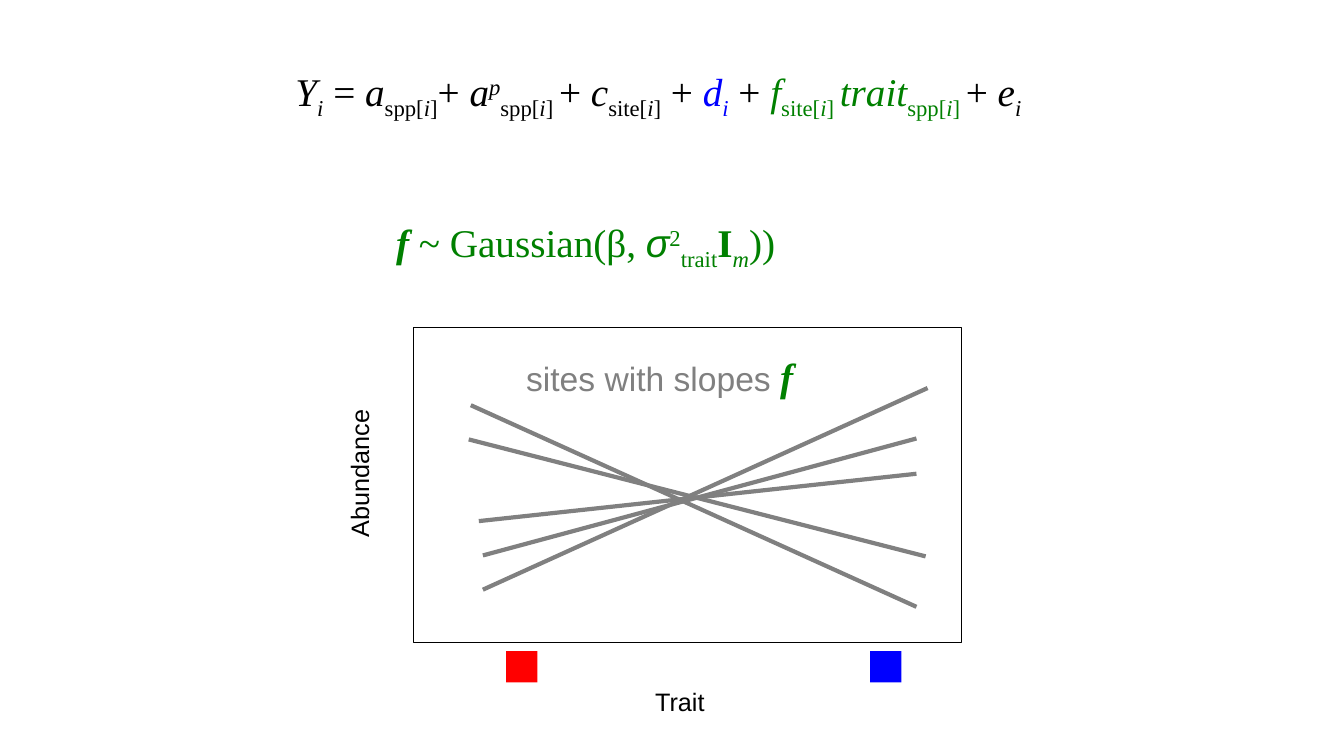
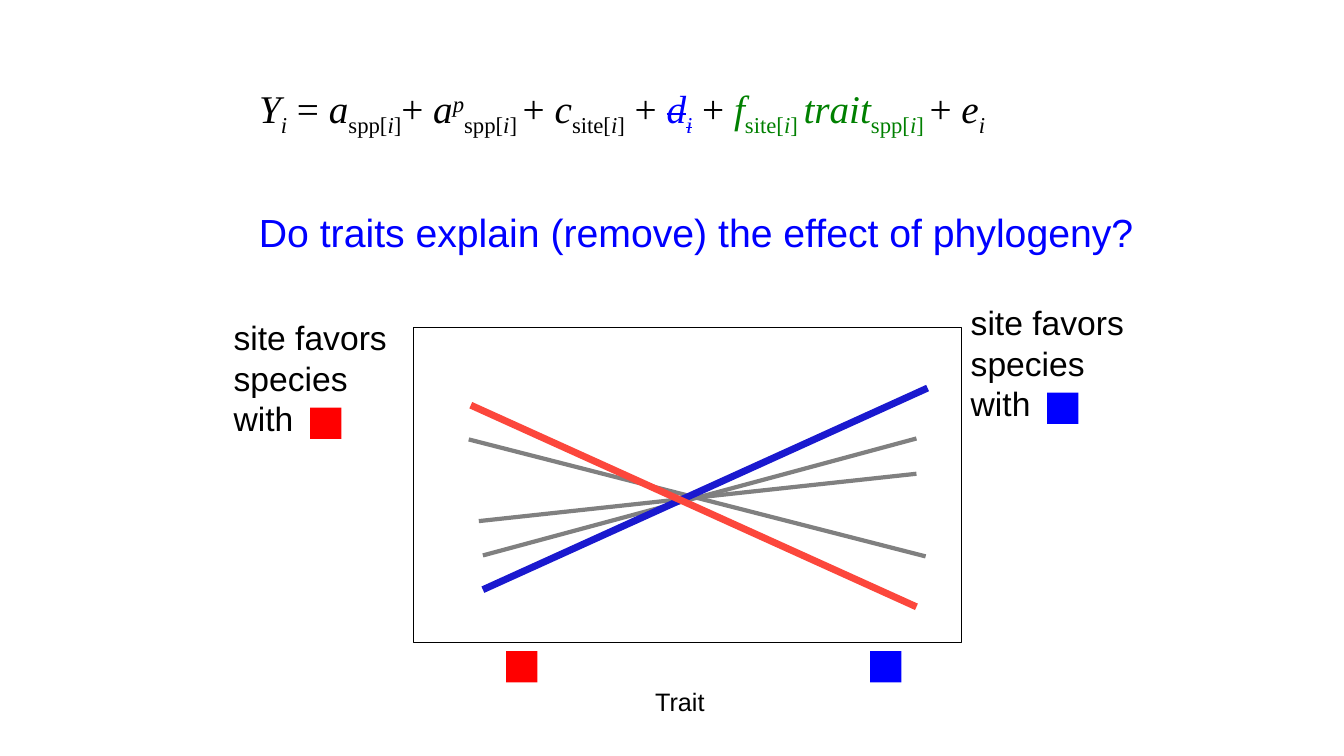
"""Build two slides on trait slopes in a phylogenetic mixed model."""
from lxml.etree import SubElement
from pptx import Presentation
from pptx.dml.color import RGBColor
from pptx.enum.shapes import MSO_CONNECTOR as Connector, MSO_SHAPE as Shape
from pptx.enum.text import MSO_ANCHOR as Anchor, MSO_AUTO_SIZE as AutoSize, PP_ALIGN as Align
from pptx.oxml.ns import qn
from pptx.util import Inches, Pt

SANS, SERIF = "Arial", "Times New Roman"
BLACK, GREY, GREEN = "000000", "808080", "008000"
RED, BLUE = "FF0000", "0000FF"
SUPER, SUB = 30, -25
SQUARE = (2.33, 4.13)
color = RGBColor.from_string

deck = Presentation()
deck.slide_width, deck.slide_height = Inches(13.33), Inches(7.5)


def place(across, down):
    """Turn percentages of the slide's width and height into lengths."""
    return int(deck.slide_width * across / 100), int(deck.slide_height * down / 100)


def write(para, text, font=SERIF, size=28, ink=BLACK, bold=False, italic=False, base=0, strike=False):
    """Add one formatted run to a paragraph."""
    span = para.add_run()
    span.text = text
    span.font.name, span.font.size = font, Pt(size)
    span.font.bold, span.font.italic = bold, italic
    span.font.color.rgb = color(ink)
    properties = span.font._element
    if base:
        properties.set("baseline", str(base * 1000))
    if strike:
        properties.set("strike", "sngStrike")


TERMS = [
    ("Y", "", "", "", BLACK, " = "),
    ("a", "", "spp[", "]", BLACK, "+ "),
    ("a", "p", "spp[", "] ", BLACK, "+ "),
    ("c", "", "site[", "]", BLACK, " + "),
    ("d", "", "", "", BLUE, " + "),
    ("f", "", "site[", "] ", GREEN, ""),
    ("trait", "", "spp[", "] ", GREEN, "+ "),
    ("e", "", "", "", BLACK, ""),
]
LINES = [
    (35.93, 73.47, 68.19, 58),
    (35.63, 68.93, 68.19, 62.67),
    (68.87, 73.6, 34.88, 58.13),
    (35.93, 78, 69.02, 51.33),
    (68.19, 80.27, 35.03, 53.6),
]
AXIS_SQUARES = [(37.66, 86.13, RED), (64.74, 86.13, BLUE)]
FAVORED = [(71.49, 39.33, BLUE), (16.65, 41.33, RED)]
FAVORED_SQUARES = [(left + 6.42, top + 12.6, ink) for left, top, ink in FAVORED]

LABEL = dict(font=SANS, size=18)
NOTE = dict(font=SANS, size=24)
SLOPE = dict(ink=GREEN, bold=True, italic=True)
TRAIT = (48.01, 90.13, 5.25, 5.33, 0, False, [("Trait", LABEL)])
DISTRIBUTION = [
    ("f", SLOPE),
    (" ~ Gaussian(β, ", dict(ink=GREEN)),
    ("σ", dict(font=SANS, ink=GREEN, italic=True)),
    ("2", dict(ink=GREEN, base=SUPER)),
    ("trait", dict(ink=GREEN, base=SUB)),
    ("I", dict(ink=GREEN, bold=True)),
    ("m", dict(ink=GREEN, italic=True, base=SUB)),
    ("))", dict(ink=GREEN)),
]
QUESTION = [("Do traits explain (remove) the effect of phylogeny?", dict(font=SANS, ink=BLUE))]

PAGES = [
    dict(
        title=(21.23, 8.27, 63.92),
        strike=False,
        strokes=[(GREY, 3)] * 5,
        squares=AXIS_SQUARES,
        texts=[
            TRAIT,
            (21.16, 59.87, 11.1, 5.33, 270, False, [("Abundance", LABEL)]),
            (38.41, 46, 22.66, 7.6, 0, True,
             [("sites with slopes ", dict(NOTE, ink=GREY)), ("f", SLOPE)]),
            (28.73, 28.27, 31.5, 8, 0, True, DISTRIBUTION),
        ],
    ),
    dict(
        title=(18.53, 10.53, 67.14),
        strike=True,
        strokes=[(GREY, 3)] * 3 + [("1A19CF", 5), ("FC473C", 5)],
        squares=AXIS_SQUARES + FAVORED_SQUARES,
        texts=[TRAIT, (18.53, 26.93, 67.14, 8, 0, True, QUESTION)]
        + [(left, top, 14.1, 17.47, 0, True, [("site favors species with", NOTE)])
           for left, top, ink in FAVORED],
    ),
]

for content in PAGES:
    page = deck.slides.add_slide(deck.slide_layouts[5])

    title = page.shapes.title
    left, top, width = content["title"]
    title.left, title.top = place(left, top)
    title.width, title.height = place(width, 8)
    frame = title.text_frame
    frame.auto_size, frame.vertical_anchor = AutoSize.NONE, Anchor.TOP
    para = frame.paragraphs[0]
    para.alignment = Align.LEFT
    for symbol, power, index, close, ink, joint in TERMS:
        look = dict(ink=ink, strike=content["strike"] and symbol == "d")
        write(para, symbol, italic=True, **look)
        if power:
            write(para, power, italic=True, base=SUPER, **look)
        if index:
            write(para, index, base=SUB, **look)
        write(para, "i", italic=True, base=SUB, **look)
        if close:
            write(para, close, base=SUB, **look)
        if joint:
            write(para, joint)

    plot = page.shapes.add_shape(Shape.RECTANGLE, *place(30.76, 43.33), *place(40.74, 41.6))
    plot.shadow.inherit = False
    plot.fill.background()
    plot.line.color.rgb, plot.line.width = color(BLACK), Pt(0.5)

    for (x1, y1, x2, y2), (ink, weight) in zip(LINES, content["strokes"]):
        slope = page.shapes.add_connector(Connector.STRAIGHT, *place(x1, y1), *place(x2, y2))
        slope.line.color.rgb, slope.line.width = color(ink), Pt(weight)
        SubElement(slope._element.spPr, qn("a:effectLst"))

    for left, top, ink in content["squares"]:
        square = page.shapes.add_shape(Shape.RECTANGLE, *place(left, top), *place(*SQUARE))
        square.shadow.inherit = False
        square.fill.solid()
        square.fill.fore_color.rgb = color(ink)
        square.line.fill.background()

    for left, top, width, height, rotation, wrap, spans in content["texts"]:
        box = page.shapes.add_textbox(*place(left, top), *place(width, height))
        box.rotation = rotation
        box.text_frame.word_wrap = wrap
        for text, look in spans:
            write(box.text_frame.paragraphs[0], text, **look)

deck.save("out.pptx")
